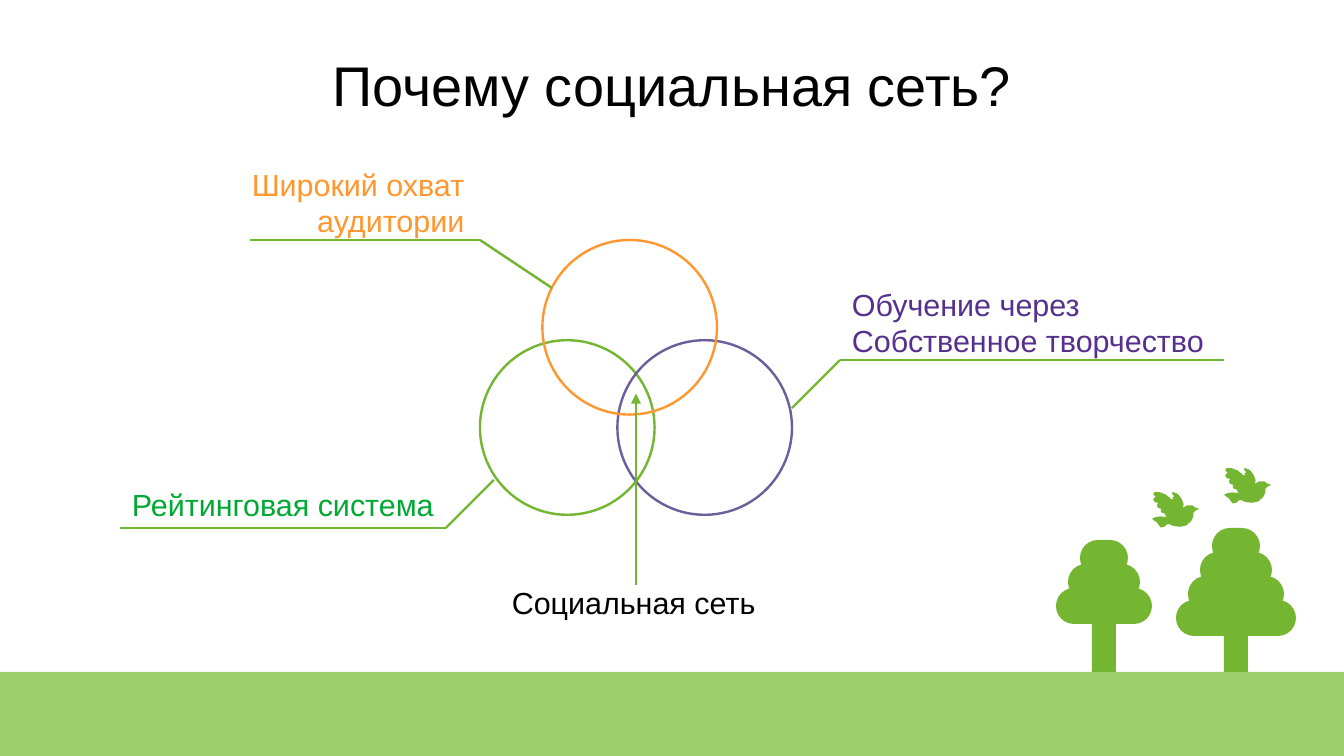
from lxml.etree import SubElement
from pptx import Presentation
from pptx.dml.color import RGBColor
from pptx.enum.shapes import MSO_CONNECTOR, MSO_SHAPE
from pptx.enum.text import MSO_ANCHOR, PP_ALIGN
from pptx.oxml.ns import qn
from pptx.util import Emu, Inches, Pt

COLUMNS, ROWS = 112, 63
CELL = 90000  # EMU, 2.5 mm
GROUND_TOP = 56
LINE_WIDTH = Pt(1.42)
FONT = "Arial"

BLACK = RGBColor(0x00, 0x00, 0x00)
GRASS = RGBColor(0x9E, 0xCF, 0x6C)
LEAF = RGBColor(0x74, 0xB5, 0x31)
EMERALD = RGBColor(0x00, 0xA9, 0x33)
ORANGE = RGBColor(0xFF, 0x97, 0x2F)
LAVENDER = RGBColor(0x6B, 0x5E, 0x9B)
VIOLET = RGBColor(0x55, 0x30, 0x8D)

# Bird outlines in hundredths of an inch from the bird's top left corner
BIRD_BODY = [(29, 11), (26, 12.5), (24, 15), (19, 10), (15, 5), (11, 2), (6, 0), (2, 0),
             (1, 2), (3, 4), (1, 6), (2, 8), (5, 9), (4, 11), (5, 13), (8, 14), (7, 15),
             (8, 17), (11, 18), (11, 20), (14, 21), (7, 20), (3, 20.5), (0, 22), (4, 25),
             (7, 29), (10, 28.5), (13, 26), (18, 28), (23, 28.5), (28, 27.5), (32, 24),
             (34, 20), (34, 17), (36, 15), (39, 14), (36, 13), (33, 11)]
BIRD_WING = [(24, 5), (21, 1.5), (17, 0), (16.5, 1.5), (18, 3), (18, 4), (17, 4), (17, 5),
             (18, 6), (16, 6), (16.5, 9), (18, 11), (20, 15), (25, 17), (25, 15), (26, 10)]


def cells(*values):
    return [Emu(round(value * CELL)) for value in values]


def add_plain_shape(slide, kind, box, fill=None, line=None):
    shape = slide.shapes.add_shape(kind, *cells(*box))
    style_shape(shape, fill, line)
    return shape


def style_shape(shape, fill, line=None):
    shape.shadow.inherit = False
    if fill is None:
        shape.fill.background()
    else:
        shape.fill.solid()
        shape.fill.fore_color.rgb = fill
    if line is None:
        shape.line.fill.background()
    else:
        shape.line.color.rgb = line
        shape.line.width = LINE_WIDTH


def add_text(slide, box, lines, size, color, align=PP_ALIGN.LEFT):
    frame = slide.shapes.add_textbox(*cells(*box)).text_frame
    frame.word_wrap = True
    for index, line in enumerate(lines):
        paragraph = frame.paragraphs[0] if index == 0 else frame.add_paragraph()
        paragraph.alignment = align
        run = paragraph.add_run()
        run.text = line
        run.font.name = FONT
        run.font.size = Pt(size)
        run.font.color.rgb = color
    return frame


def add_line(slide, start, end, arrow=False):
    connector = slide.shapes.add_connector(MSO_CONNECTOR.STRAIGHT, *cells(*start, *end))
    connector.line.color.rgb = LEAF
    connector.line.width = LINE_WIDTH
    properties = connector._element.spPr
    if arrow:
        SubElement(properties.find(qn("a:ln")), qn("a:tailEnd"), type="triangle")
    SubElement(properties, qn("a:effectLst"))


def add_tree(slide, center, top, tiers):
    """Stack rounded tiers, each wider than the one above, on a trunk."""
    trunk_top = top + 2
    add_plain_shape(slide, MSO_SHAPE.RECTANGLE,
                    (center - 1, trunk_top, 2, GROUND_TOP - trunk_top), LEAF)
    for tier in reversed(range(tiers)):
        width = 4 + 2 * tier
        crown = add_plain_shape(slide, MSO_SHAPE.ROUNDED_RECTANGLE,
                                (center - width / 2, top + 2 * tier, width, 3), LEAF)
        crown.adjustments[0] = 0.5


def add_bird(slide, left, top):
    origin_x, origin_y = cells(left, top)
    for outline in (BIRD_WING, BIRD_BODY):
        points = [(origin_x + Inches(x / 100), origin_y + Inches(y / 100)) for x, y in outline]
        builder = slide.shapes.build_freeform(*points[0])
        builder.add_line_segments(points[1:], close=True)
        style_shape(builder.convert_to_shape(), LEAF)


def add_scenery(slide):
    add_plain_shape(slide, MSO_SHAPE.RECTANGLE,
                    (0, GROUND_TOP, COLUMNS, ROWS - GROUND_TOP), GRASS)
    add_tree(slide, 103, 44, 4)
    add_tree(slide, 92, 45, 3)
    add_bird(slide, 96, 41)
    add_bird(slide, 102, 39)


def add_title(slide, box, title):
    frame = add_text(slide, box, [title], 33, BLACK, PP_ALIGN.CENTER)
    frame.vertical_anchor = MSO_ANCHOR.MIDDLE
    frame.margin_left = frame.margin_right = frame.margin_top = frame.margin_bottom = 0


def add_circles(slide, left, top, diameter):
    """Draw three overlapping rings around a common centre."""
    for x, y, color in ((0, 8.35, LEAF), (11.45, 8.35, LAVENDER), (5.2, 0, ORANGE)):
        add_plain_shape(slide, MSO_SHAPE.OVAL, (left + x, top + y, diameter, diameter),
                        line=color)


def add_callout(slide, box, lines, color, far, corner, target, align=PP_ALIGN.LEFT):
    """Place a label over an underline that bends at its corner towards a ring."""
    add_text(slide, box, lines, 18, color, align)
    add_line(slide, far, corner)
    add_line(slide, corner, target)


def main():
    presentation = Presentation()
    presentation.slide_width, presentation.slide_height = cells(COLUMNS, ROWS)
    slide = presentation.slides.add_slide(presentation.slide_layouts[6])
    add_scenery(slide)
    add_title(slide, (6, 2, 100, 10), "Почему социальная сеть?")
    add_circles(slide, 40, 20, 14.55)
    add_callout(slide, (18.7, 13.3, 21, 6.7), ["Широкий охват", "аудитории"], ORANGE,
                (20.85, 20), (40, 20), (46, 24), PP_ALIGN.RIGHT)
    add_callout(slide, (70, 23.3, 33, 6.7), ["Обучение через", "Собственное творчество"],
                VIOLET, (102, 30), (70, 30), (66, 34))
    add_callout(slide, (10, 40, 29, 3.9), ["Рейтинговая система"], EMERALD,
                (10, 44), (37.15, 44), (41.15, 40))
    add_line(slide, (53, 48.75), (53, 32.8), arrow=True)
    add_text(slide, (41.65, 48.15, 24, 3.9), ["Социальная сеть"], 18, BLACK)
    presentation.save("out.pptx")


if __name__ == "__main__":
    main()
